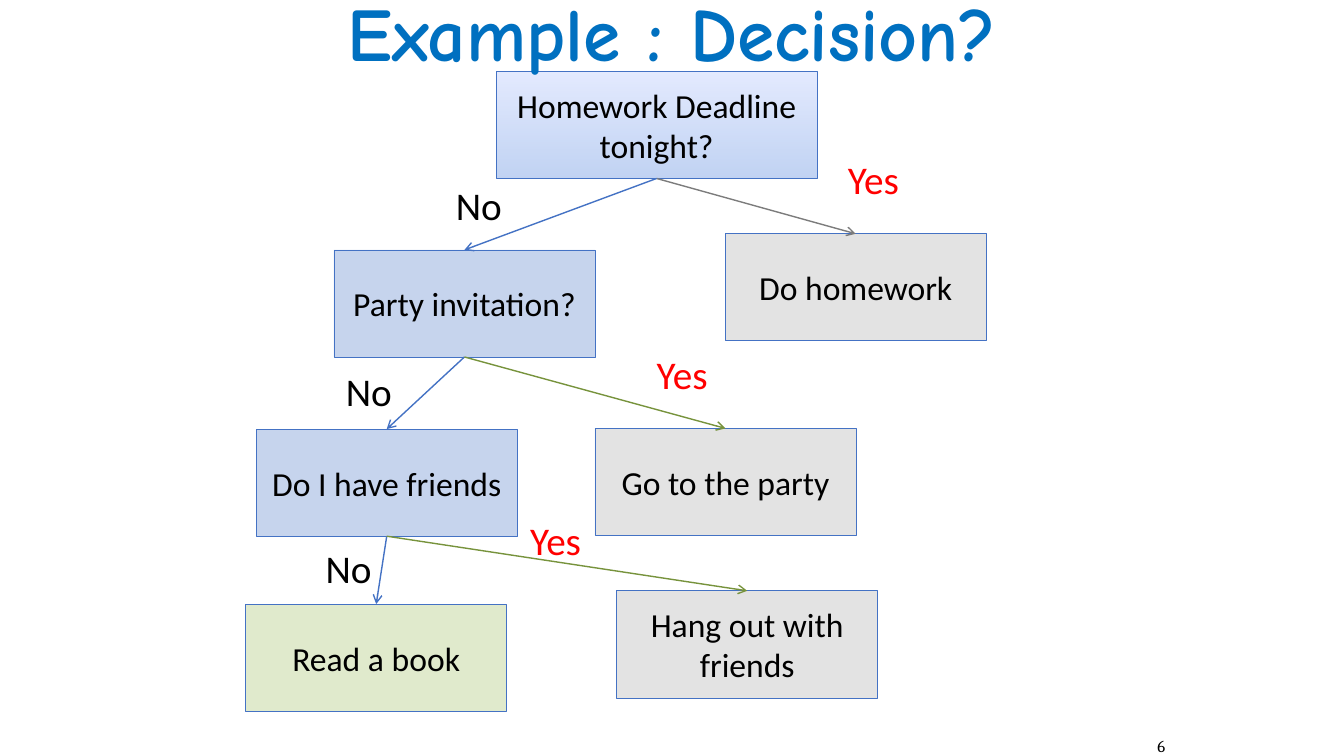
from lxml.etree import SubElement
from pptx import Presentation
from pptx.dml.color import RGBColor
from pptx.enum.shapes import MSO_CONNECTOR, MSO_SHAPE
from pptx.enum.text import MSO_ANCHOR, MSO_AUTO_SIZE, PP_ALIGN
from pptx.oxml.ns import qn
from pptx.util import Pt

COLORS = {
    "blue": "4472C4", "gray": "A5A5A5", "green": "9BBB59",
    "gray_arrow": "7C7C7C", "green_arrow": "77933C",
    "gradient_bottom": "316DD7", "gradient_top": "A6BBFF",
    "title": "0070C0", "yes": "FF0000", "black": "000000",
}
BOX_WIDTH, BOX_HEIGHT = 186.5, 76.5


def write_text(shape, text, size=24, color="black", font="Calibri", bold=False,
               align=PP_ALIGN.CENTER, anchor=MSO_ANCHOR.MIDDLE,
               wrap=True, auto_size=MSO_AUTO_SIZE.NONE):
    frame = shape.text_frame
    frame.text = text
    frame.word_wrap = wrap
    frame.auto_size = auto_size
    frame.vertical_anchor = anchor
    paragraph = frame.paragraphs[0]
    paragraph.alignment = align
    run_font = paragraph.runs[0].font
    run_font.size = Pt(size)
    run_font.name = font
    run_font.bold = bold
    run_font.color.rgb = RGBColor.from_string(COLORS[color])


def make_translucent(fill_element):
    for color_element in fill_element.iter(qn("a:srgbClr")):
        SubElement(color_element, qn("a:alpha"), val="30000")


presentation = Presentation()
presentation.slide_width = Pt(960)
presentation.slide_height = Pt(540)
slide = presentation.slides.add_slide(presentation.slide_layouts[5])
shapes = slide.shapes

# Decision boxes and outcomes: text, left, top, width, fill
nodes = {
    "deadline": ("Homework Deadline tonight?", 354.5, 51, 229, "gradient"),
    "homework": ("Do homework", 518, 167, BOX_WIDTH, "gray"),
    "invitation": ("Party invitation?", 238.5, 178.5, BOX_WIDTH, "blue"),
    "friends": ("Do I have friends", 183, 306.5, BOX_WIDTH, "blue"),
    "party": ("Go to the party", 425, 306, BOX_WIDTH, "gray"),
    "book": ("Read a book", 175.5, 431.5, BOX_WIDTH, "green"),
    "hang_out": ("Hang out with friends", 440.5, 422, BOX_WIDTH, "gray"),
}
boxes = {}
for name, (text, left, top, width, fill) in nodes.items():
    box = shapes.add_shape(MSO_SHAPE.RECTANGLE, Pt(left), Pt(top), Pt(width), Pt(BOX_HEIGHT))
    box.shadow.inherit = False
    if fill == "gradient":
        box.fill.gradient()
        box.fill.gradient_angle = 90
        for stop, color in zip(box.fill.gradient_stops, ("gradient_bottom", "gradient_top")):
            stop.color.rgb = RGBColor.from_string(COLORS[color])
        make_translucent(box.element.spPr.find(qn("a:gradFill")))
    else:
        box.fill.solid()
        box.fill.fore_color.rgb = RGBColor.from_string(COLORS[fill])
        make_translucent(box.element.spPr.find(qn("a:solidFill")))
    box.line.color.rgb = RGBColor.from_string(COLORS["blue"])
    box.line.width = Pt(0.5)
    write_text(box, text)
    boxes[name] = box

# Branches: parent, child, arrow colour, answer, answer left, answer top
branches = [
    ("deadline", "homework", "gray_arrow", "Yes", 598.5, 107.5),
    ("deadline", "invitation", "blue", "No", 318.5, 126),
    ("invitation", "friends", "blue", "No", 240, 258.5),
    ("invitation", "party", "green_arrow", "Yes", 462, 247),
    ("friends", "book", "blue", "No", 225.5, 385),
    ("friends", "hang_out", "green_arrow", "Yes", 371.5, 365),
]
for parent, child, color, answer, left, top in branches:
    arrow = shapes.add_connector(MSO_CONNECTOR.STRAIGHT, 0, 0, 0, 0)
    arrow.begin_connect(boxes[parent], 2)
    arrow.end_connect(boxes[child], 0)
    arrow.line.color.rgb = RGBColor.from_string(COLORS[color])
    arrow.line.width = Pt(1)
    SubElement(arrow.line._get_or_add_ln(), qn("a:tailEnd"), type="arrow")
    SubElement(arrow.element.spPr, qn("a:effectLst"))

    label = shapes.add_textbox(Pt(left), Pt(top), Pt(51 if answer == "Yes" else 47.5), Pt(41))
    write_text(label, answer, size=28, color="yes" if answer == "Yes" else "black",
               align=PP_ALIGN.LEFT, anchor=MSO_ANCHOR.TOP, wrap=False,
               auto_size=MSO_AUTO_SIZE.SHAPE_TO_FIT_TEXT)

slide_number = shapes.add_textbox(Pt(690), Pt(522), Pt(149.5), Pt(18))
write_text(slide_number, "6", size=12, font="Cambria",
           align=PP_ALIGN.RIGHT, anchor=MSO_ANCHOR.TOP)

title = shapes.title
title.left, title.top, title.width, title.height = Pt(120), Pt(0), Pt(720), Pt(44)
write_text(title, "Example : Decision?", size=54, color="title", font="Comic Neue", bold=True)
# The title overlaps the first box, so it goes to the front
title.element.getparent().append(title.element)

presentation.save("out.pptx")
